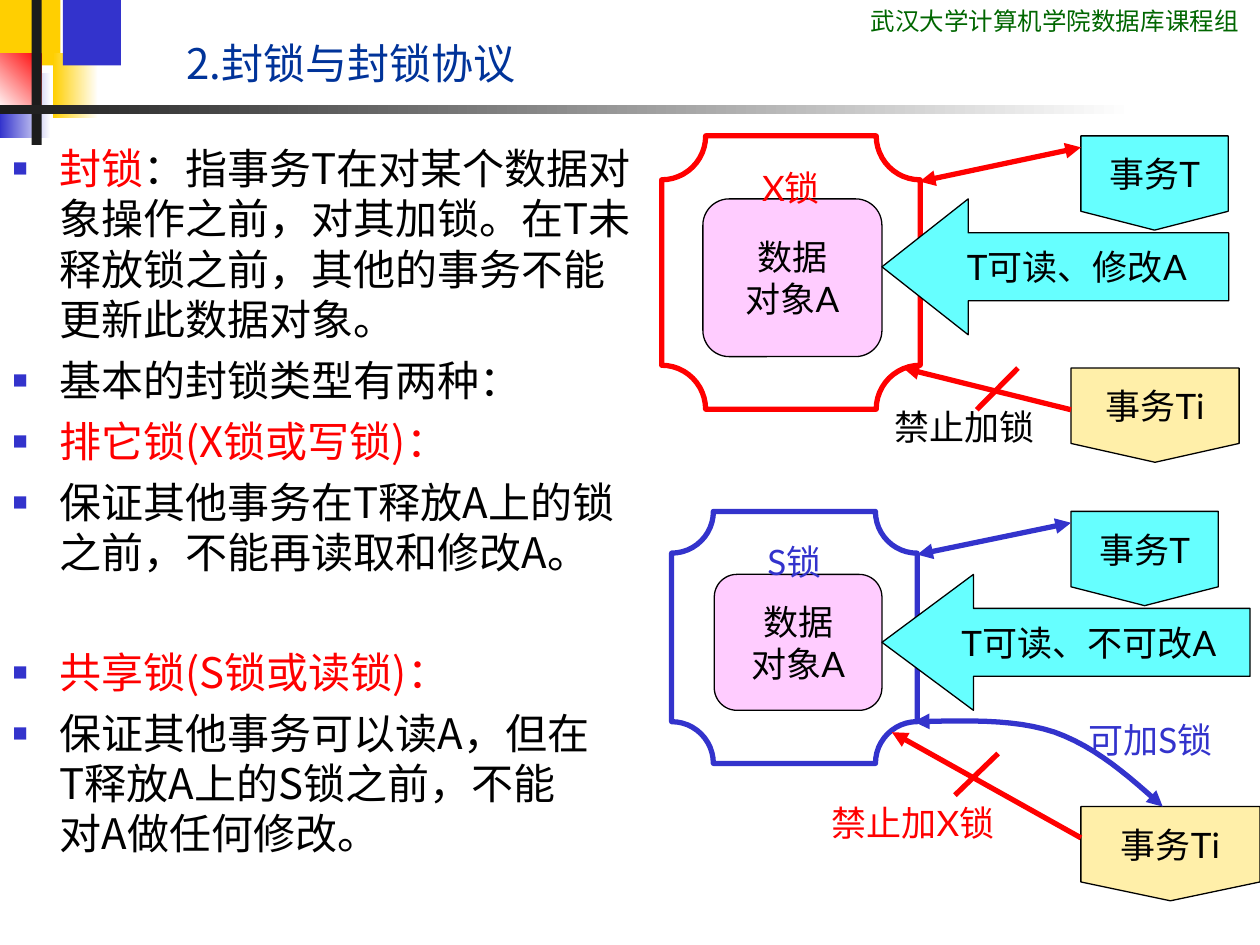
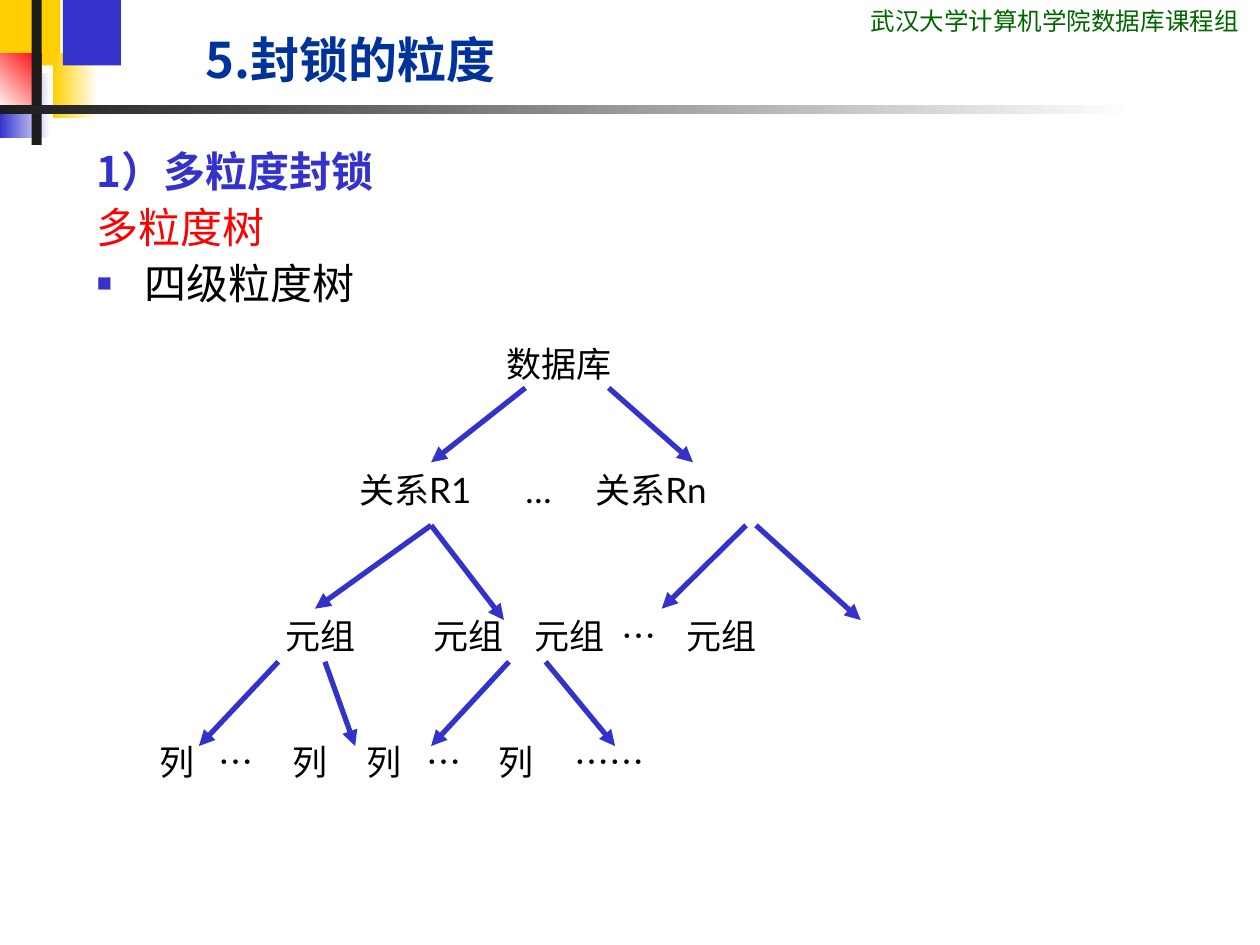
from lxml.etree import SubElement
from pptx import Presentation
from pptx.dml.color import RGBColor
from pptx.enum.shapes import MSO_CONNECTOR as Connector, MSO_SHAPE as Shape
from pptx.enum.text import MSO_ANCHOR as Anchor, MSO_AUTO_SIZE as AutoSize, PP_ALIGN as Align
from pptx.oxml.ns import qn
from pptx.util import Cm, Pt

rgb = RGBColor.from_string
BLACK, WHITE, CHARCOAL = "000000", "FFFFFF", "1C1C1C"
RED, BLUE, YELLOW = "FF0000", "3333CC", "FFCF01"
NAVY, GREEN = "003399", "006600"
PINK, CYAN, CREAM = "FFCCFF", "66FFFF", "FFEFA9"
HEADING_FONT, LABEL_FONT, HEADER_FONT = "Noto Sans CJK SC", "Lato", "Roboto Condensed"


def write(frame, text, size=20, font=LABEL_FONT, colour=BLACK, bold=False, align=Align.LEFT,
          lead="", bullet=None, hanging=0, tabs=(), before=0, spacing=None):
    """Add one paragraph to the frame; lead is a red opening, bullet True, False or None."""
    first = not frame.text
    paragraph = frame.paragraphs[0] if first else frame.add_paragraph()
    properties = paragraph._p.get_or_add_pPr()
    if bullet is not None:
        properties.set("marL", str(Cm(hanging)))
        properties.set("indent", str(-Cm(hanging)))
    if bullet:
        bullet_colour = SubElement(properties, qn("a:buClr"))
        SubElement(bullet_colour, qn("a:srgbClr"), val=BLUE)
        SubElement(properties, qn("a:buSzPct"), val="60000")
        SubElement(properties, qn("a:buChar"), char="■")
    elif bullet is False:
        SubElement(properties, qn("a:buNone"))
    if tabs:
        tab_list = SubElement(properties, qn("a:tabLst"))
        for position in tabs:
            SubElement(tab_list, qn("a:tab"), pos=str(Cm(position)), algn="l")
    paragraph.alignment = align
    paragraph.space_before = Pt(0 if first else before)
    if spacing:
        paragraph.line_spacing = spacing
    for words, run_colour in ((lead, RED), (text, colour)):
        if words:
            run = paragraph.add_run()
            run.text = words
            run.font.size, run.font.name, run.font.bold = Pt(size), font, bold
            run.font.color.rgb = rgb(run_colour)


def style_line(shape, colour, head=False, tail=False):
    """Give a line its colour and arrowheads, without a shadow."""
    shape.line.color.rgb = rgb(colour)
    shape.line.width = Pt(3)
    properties = shape.element.spPr
    outline = properties.find(qn("a:ln"))
    for wanted, tag in ((head, "a:headEnd"), (tail, "a:tailEnd")):
        if wanted:
            SubElement(outline, qn(tag), type="triangle")
    SubElement(properties, qn("a:effectLst"))


presentation = Presentation()
presentation.slide_width, presentation.slide_height = Cm(25.4), Cm(19.05)
lock_slide = presentation.slides.add_slide(presentation.slide_layouts[3])
tree_slide = presentation.slides.add_slide(presentation.slide_layouts[1])

# Decoration and header, shared through the slide master
decoration = [
    (0, 0, 1.22, 1.32, [YELLOW], 0),
    (1.07, 1.07, 0.91, 1.32, [WHITE, YELLOW], 180),
    (1.27, 0, 1.17, 1.32, [BLUE], 0),
    (0, 1.47, 1.02, 1.32, [WHITE, BLUE], 180),
    (0, 1.07, 0.84, 1.17, [RED, WHITE], 225),
    (0.64, 0, 0.2, 2.92, [CHARCOAL], 0),
    (0, 2.11, 22.86, 0.2, [WHITE, CHARCOAL], 180),
]
master_parts = []
for left, top, width, height, colours, angle in decoration:
    block = lock_slide.shapes.add_shape(Shape.RECTANGLE, Cm(left), Cm(top), Cm(width), Cm(height))
    block.shadow.inherit = False
    block.line.fill.background()
    if len(colours) == 1:
        block.fill.solid()
        block.fill.fore_color.rgb = rgb(colours[0])
    else:
        block.fill.gradient()
        block.fill.gradient_angle = angle
        for stop, position, colour in zip(block.fill.gradient_stops, (0, 1), colours):
            stop.position = position
            stop.color.rgb = rgb(colour)
    master_parts.append(block)
header = lock_slide.shapes.add_textbox(Cm(17.3), Cm(0), Cm(8.1), Cm(0.86))
header.text_frame.word_wrap = True
write(header.text_frame, "武汉大学计算机学院数据库课程组", size=14, font=HEADER_FONT, colour=GREEN)
master_parts.append(header)
for index, part in enumerate(master_parts, start=2):
    presentation.slide_master.shapes.element.insert(index, part.element)

# Titles
for slide, title_text, left, width, size, bold in [
    (lock_slide, "2.封锁与封锁协议", 3.5, 12.14, 24, False),
    (tree_slide, "5.封锁的粒度", 3.89, 10, 28, True),
]:
    title = slide.shapes.title
    title.left, title.top, title.width, title.height = Cm(left), Cm(0), Cm(width), Cm(1.9)
    title.text_frame.vertical_anchor = Anchor.BOTTOM
    title.text_frame.auto_size = AutoSize.NONE
    write(title.text_frame, title_text, size=size, font=HEADING_FONT, colour=NAVY, bold=bold)

# Lists
definition = dict(lead="封锁", text="：指事务T在对某个数据对象操作之前，对其加锁。在T未释放锁之前，其他的事务不能更新此数据对象。")
lists = [
    (lock_slide, 1, (0, 2.74, 13.1, 9.73), None, [
        definition,
        dict(text="基本的封锁类型有两种："),
        dict(text="排它锁(X锁或写锁)：", colour=RED),
        dict(text="保证其他事务在T释放A上的锁之前，不能再读取和修改A。"),
    ]),
    (lock_slide, 2, (0, 12.9, 12.27, 4.65), None, [
        dict(text="共享锁(S锁或读锁)：", colour=RED),
        dict(text="保证其他事务可以读A，但在T释放A上的S锁之前，不能对A做任何修改。"),
    ]),
    (tree_slide, 1, (1.7, 2.92, 11.2, 3.61), 0.9, [
        dict(text="1）多粒度封锁", colour=BLUE, bold=True, bullet=False),
        dict(text="多粒度树", colour=RED, bullet=False),
        dict(text="四级粒度树"),
    ]),
]
for slide, number, box, spacing, items in lists:
    body = slide.placeholders[number]
    body.left, body.top, body.width, body.height = map(Cm, box)
    body.text_frame.auto_size = AutoSize.NONE
    for item in items:
        write(body.text_frame, **{"bullet": True, **item}, size=24, font=HEADING_FONT,
              hanging=0.95, before=6, spacing=spacing)

# Lock diagrams: X lock above, S lock below
data_object = ["数据", "对象A"]
lock_shapes = [
    (Shape.ROUNDED_RECTANGLE, PINK, (14.17, 4.01, 3.61, 3.18), data_object, None),
    (Shape.PLAQUE, RED, (13.34, 2.74, 5.21, 5.51), ["X锁"], 0.17),
    (Shape.FLOWCHART_OFFPAGE_CONNECTOR, CYAN, (21.79, 2.74, 2.97, 1.9), ["事务T"], None),
    (Shape.LEFT_ARROW, CYAN, (17.78, 4.01, 6.99, 2.74), ["T可读、修改A"], 0.635),
    (Shape.FLOWCHART_OFFPAGE_CONNECTOR, CREAM, (21.59, 7.42, 3.39, 1.9), ["事务Ti"], None),
    (Shape.ROUNDED_RECTANGLE, PINK, (14.4, 11.58, 3.38, 2.74), data_object, None),
    (Shape.PLAQUE, BLUE, (13.54, 10.31, 4.95, 5.08), ["S锁"], 0.17),
    (Shape.FLOWCHART_OFFPAGE_CONNECTOR, CYAN, (21.59, 10.31, 2.97, 1.9), ["事务T"], None),
    (Shape.LEFT_ARROW, CYAN, (17.78, 11.58, 7.42, 2.74), ["T可读、不可改A"], 0.673),
    (Shape.FLOWCHART_OFFPAGE_CONNECTOR, CREAM, (21.79, 16.26, 3.61, 1.9), ["事务Ti"], None),
]
for kind, colour, box, lines, adjustment in lock_shapes:
    shape = lock_slide.shapes.add_shape(kind, *map(Cm, box))
    shape.shadow.inherit = False
    if adjustment:
        shape.adjustments[len(shape.adjustments) - 1] = adjustment
    frame = shape.text_frame
    frame.word_wrap = False
    is_lock = kind == Shape.PLAQUE
    if is_lock:
        shape.fill.background()
        frame.vertical_anchor = Anchor.TOP
        frame.margin_top = 0
    else:
        shape.fill.solid()
        shape.fill.fore_color.rgb = rgb(colour)
        frame.vertical_anchor = Anchor.MIDDLE
    shape.line.color.rgb = rgb(colour if is_lock else BLACK)
    shape.line.width = Pt(3 if is_lock else 0.75)
    for line in lines:
        write(frame, line, colour=colour if is_lock else BLACK, align=Align.CENTER)

# Curved arrow from Ti to the S lock, sampled from two Bézier pieces
curve = [
    ((23.44, 16.26), (22.76, 15.65), (22.1, 15.06), (21.26, 14.76)),
    ((21.26, 14.76), (20.42, 14.48), (19.41, 14.53), (18.42, 14.55)),
]
steps = 12
curve_points = []
for piece in curve:
    for step in range(1, steps + 1):
        t = step / steps
        weights = ((1 - t) ** 3, 3 * t * (1 - t) ** 2, 3 * t * t * (1 - t), t ** 3)
        curve_points.append(tuple(
            Cm(sum(weight * point[axis] for weight, point in zip(weights, piece)))
            for axis in (0, 1)))
builder = lock_slide.shapes.build_freeform(Cm(23.44), Cm(16.26))
builder.add_line_segments(curve_points, close=False)
share_arrow = builder.convert_to_shape()
share_arrow.fill.background()
style_line(share_arrow, BLUE, head=True, tail=True)

# Straight lines: slide, start and end, colour, head, tail
straight_lines = [
    (lock_slide, (21.79, 2.97, 18.54, 3.66), RED, True, True),
    (lock_slide, (21.59, 8.26, 18.21, 7.42), RED, False, True),
    (lock_slide, (19.69, 8.26, 20.52, 7.42), RED, False, False),
    (lock_slide, (21.59, 10.54, 18.49, 11.18), BLUE, True, True),
    (lock_slide, (21.79, 16.89, 17.98, 14.76), RED, False, True),
    (lock_slide, (19.25, 16.03, 20.12, 15.19), RED, False, False),
]
tree_branches = [
    (7.82, (10.59, 8.69), 9.32), (7.82, (12.27, 13.97), 9.32),
    (10.59, (8.69, 6.35), 12.27), (10.59, (8.69, 10.16), 12.5),
    (10.59, (15.04, 13.34), 12.27), (10.59, (15.24, 17.35), 12.5),
    (13.34, (5.61, 4.01), 15.04), (13.34, (6.55, 7.16), 15.04),
    (13.34, (10.26, 8.69), 15.04), (13.34, (11, 12.4), 15.04),
]
for top, (parent_x, child_x), bottom in tree_branches:
    straight_lines.append((tree_slide, (parent_x, top, child_x, bottom), BLUE, False, True))
for slide, ends, colour, head, tail in straight_lines:
    connector = slide.shapes.add_connector(Connector.STRAIGHT, *map(Cm, ends))
    style_line(connector, colour, head, tail)

# Diagram labels and the levels of the granularity tree
labels = [
    (lock_slide, (17.78, 8.05, 4.01), "禁止加锁", BLACK, ()),
    (lock_slide, (16.51, 16.03, 5.08), "禁止加X锁", RED, ()),
    (lock_slide, (21.69, 14.35, 3.71), "可加S锁", BLUE, ()),
    (tree_slide, (9.96, 6.78, 3.38), "数据库", BLACK, ()),
    (tree_slide, (6.99, 9.32, 10.8), "关系R1\t…\t关系Rn", BLACK, (3.35, 4.76)),
    (tree_slide, (5.51, 12.27, 13.54), "元组\t元组\t元组\t…\t元组", BLACK,
     (2.98, 5.02, 6.77, 8.08)),
    (tree_slide, (2.97, 14.81, 16.08), "列\t…\t列\t列\t…\t列\t……", BLACK,
     (1.19, 2.68, 4.17, 5.38, 6.83, 8.37)),
]
for slide, (left, top, width), text, colour, tabs in labels:
    label = slide.shapes.add_textbox(Cm(left), Cm(top), Cm(width), Cm(1.12))
    label.text_frame.word_wrap = True
    write(label.text_frame, text, colour=colour, tabs=tabs)

presentation.save("out.pptx")
